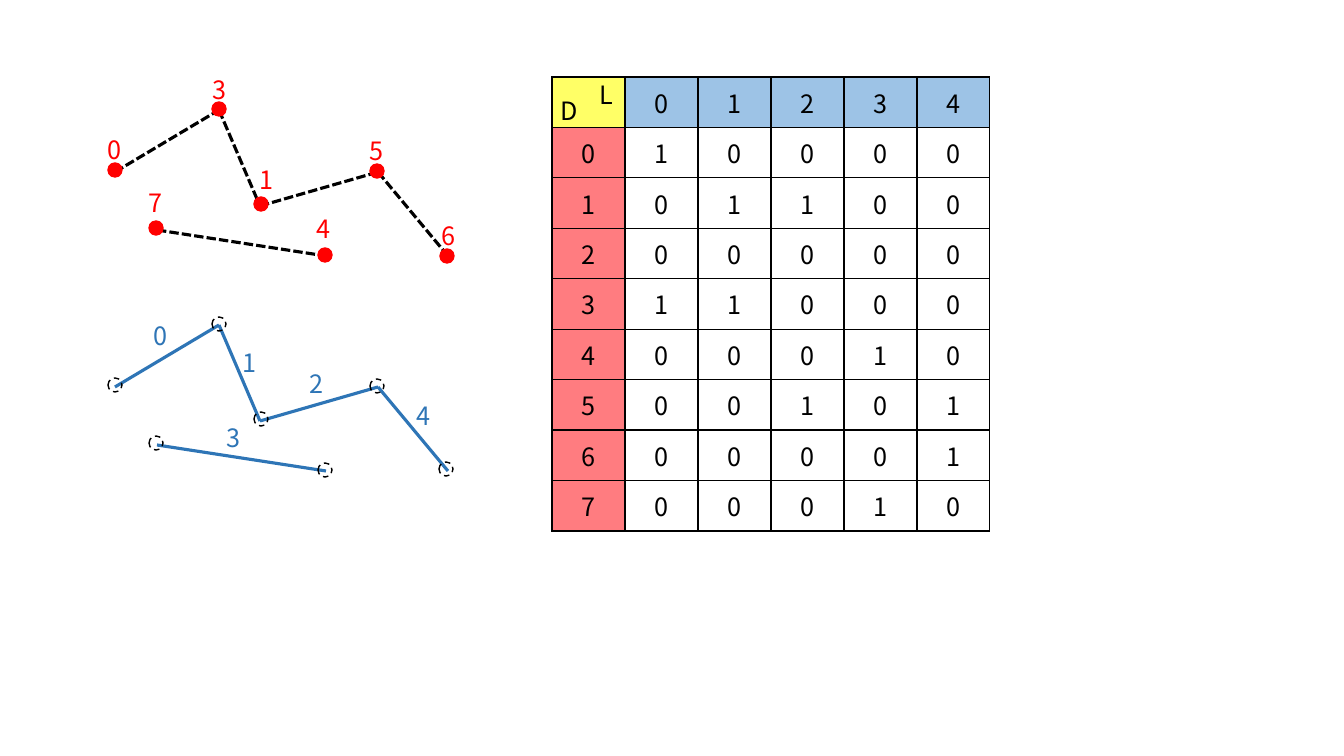
import lxml.etree
import pptx
import pptx.dml.color
import pptx.enum.dml
import pptx.enum.shapes
import pptx.enum.text
import pptx.oxml.ns
import pptx.util

PIXEL = 914400 / 100.8
FONT = "Noto Sans CJK KR"
BLACK, RED, BLUE = "000000", "FF0000", "2E75B6"
YELLOW, PALE_BLUE, PINK = "FFFF66", "9DC3E6", "FF7C80"
DASH = pptx.enum.dml.MSO_LINE

LINES = [(0, 3), (3, 1), (1, 5), (7, 4), (5, 6)]
DOT_COUNT = 8
DOT_SIZE = 14
JOINTS = {0: (17, 103), 3: (121, 41), 1: (162, 137), 5: (280, 103),
          6: (350, 187), 7: (59, 161), 4: (228, 187)}
DOTS = {0: (10, 94), 3: (114, 33), 1: (156, 128), 5: (272, 95),
        6: (342, 180), 7: (51, 152), 4: (220, 179)}
RINGS = {**DOTS, 6: (341, 178)}
DOT_LABELS = {0: (0, 60), 3: (105, 0), 1: (152, 90), 5: (262, 61),
              6: (334, 146), 4: (209, 139), 7: (41, 113)}
LINE_LABELS = {0: (46, 31), 1: (135, 58), 2: (202, 79), 3: (119, 133), 4: (309, 111)}


def emu(pixels):
    return pptx.util.Emu(round(pixels * PIXEL))


def color(value):
    return pptx.dml.color.RGBColor.from_string(value)


def write(frame, text, ink):
    para = frame.paragraphs[0]
    span = para.add_run()
    span.text = text
    span.font.size = pptx.util.Pt(18)
    span.font.name = FONT
    span.font.color.rgb = color(ink)
    return para


def style_line(line, ink, width, dash=None):
    line.color.rgb = color(ink)
    line.width = pptx.util.Pt(width)
    if dash is not None:
        line.dash_style = dash


def add_label(page, left, top, text, ink, width=34):
    label = page.shapes.add_textbox(emu(left), emu(top), emu(width), emu(40))
    label.text_frame.word_wrap = False
    label.text_frame.auto_size = pptx.enum.text.MSO_AUTO_SIZE.SHAPE_TO_FIT_TEXT
    write(label.text_frame, text, ink)


def add_segment(page, start, end, ink, dash):
    segment = page.shapes.add_connector(
        pptx.enum.shapes.MSO_CONNECTOR.STRAIGHT, *map(emu, start + end))
    style_line(segment.line, ink, 2.25, dash)
    lxml.etree.SubElement(segment._element.spPr, pptx.oxml.ns.qn("a:effectLst"))


def add_dot(page, left, top, fill, ink, dash):
    dot = page.shapes.add_shape(
        pptx.enum.shapes.MSO_SHAPE.OVAL, emu(left), emu(top), emu(DOT_SIZE), emu(DOT_SIZE))
    dot.shadow.inherit = False
    if fill:
        dot.fill.solid()
        dot.fill.fore_color.rgb = color(fill)
    else:
        dot.fill.background()
    style_line(dot.line, ink, 1, dash)


def add_graph(page, box, dots, labels, line_style, dot_style, label_ink):
    left, top = box

    def place(point):
        return left + point[0], top + point[1]

    for start, end in LINES:
        add_segment(page, place(JOINTS[start]), place(JOINTS[end]), *line_style)
    for point in dots.values():
        add_dot(page, *place(point), *dot_style)
    for number, point in labels.items():
        add_label(page, *place(point), str(number), label_ink)


def add_borders(cell):
    properties = cell._tc.get_or_add_tcPr()
    for side in ("a:lnL", "a:lnR", "a:lnT", "a:lnB"):
        border = lxml.etree.SubElement(properties, pptx.oxml.ns.qn(side), w="12700")
        fill = lxml.etree.SubElement(border, pptx.oxml.ns.qn("a:solidFill"))
        lxml.etree.SubElement(fill, pptx.oxml.ns.qn("a:srgbClr"), val=BLACK)


def fill_cell(cell, text, fill):
    add_borders(cell)
    if fill:
        cell.fill.solid()
        cell.fill.fore_color.rgb = color(fill)
    else:
        cell.fill.background()
    cell.vertical_anchor = pptx.enum.text.MSO_ANCHOR.MIDDLE
    if text:
        para = write(cell.text_frame, text, BLACK)
        para.alignment = pptx.enum.text.PP_ALIGN.CENTER


def add_incidence_table(page, box):
    left, top, width, height = box
    header = [""] + [str(number) for number in range(len(LINES))]
    rows = [header] + [
        [str(dot)] + [str(int(dot in ends)) for ends in LINES] for dot in range(DOT_COUNT)]
    table = page.shapes.add_table(len(rows), len(header), *map(emu, box)).table
    for column in table.columns:
        column.width = emu(width / len(header))
    for row in table.rows:
        row.height = emu(height / len(rows))
    for r, values in enumerate(rows):
        for c, text in enumerate(values):
            if r == 0:
                fill = PALE_BLUE if c else YELLOW
            else:
                fill = None if c else PINK
            fill_cell(table.cell(r, c), text, fill)
    add_label(page, left + 38, top - 3, "L", BLACK, 32)
    add_label(page, left - 1, top + 13, "D", BLACK, 38)


deck = pptx.Presentation()
deck.slide_width = emu(1344)
deck.slide_height = emu(756)
page = deck.slides.add_slide(deck.slide_layouts[6])
add_graph(page, (98, 69), DOTS, DOT_LABELS, (BLACK, DASH.SQUARE_DOT), (RED, RED, None), RED)
add_graph(page, (98, 284), RINGS, LINE_LABELS, (BLUE, None), (None, BLACK, DASH.DASH), BLUE)
add_incidence_table(page, (552, 77, 438, 454))
deck.save("out.pptx")
